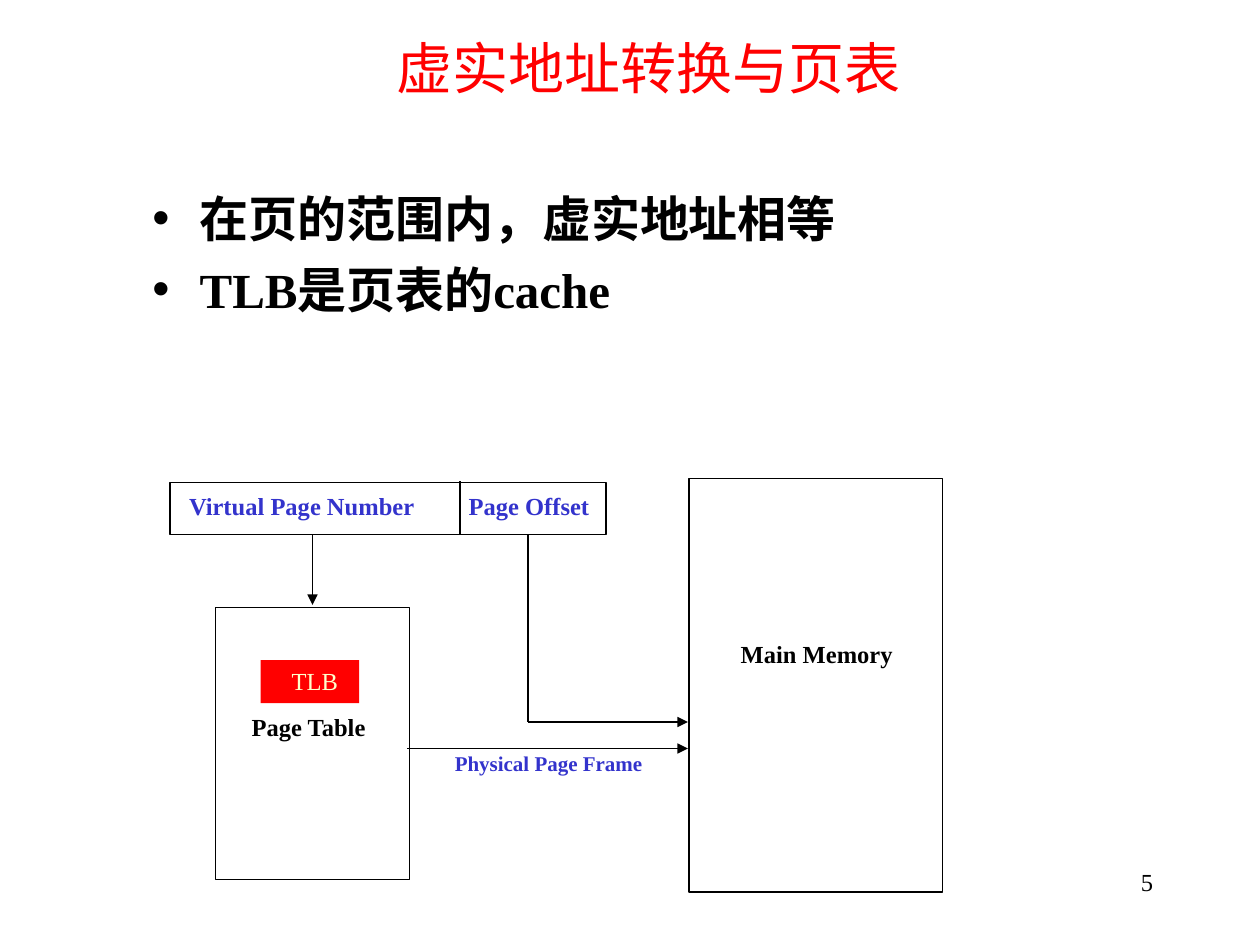
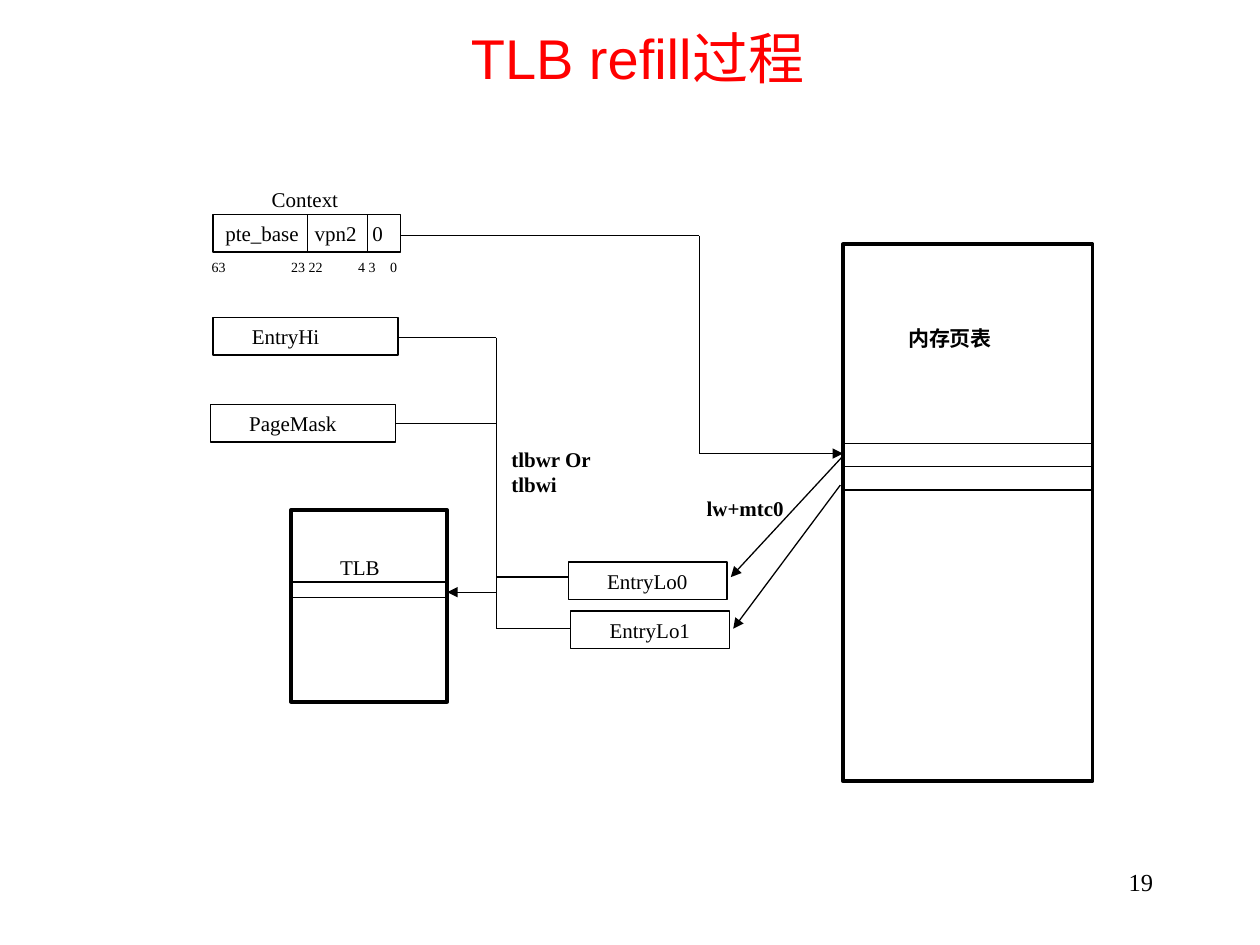
from dataclasses import dataclass
from itertools import pairwise

from lxml.etree import SubElement
from pptx import Presentation
from pptx.dml.color import RGBColor
from pptx.enum.shapes import MSO_CONNECTOR as CONNECTOR, MSO_SHAPE as SHAPE
from pptx.enum.text import MSO_ANCHOR as ANCHOR, MSO_AUTO_SIZE as AUTO_SIZE, PP_ALIGN as ALIGN
from pptx.oxml.ns import qn
from pptx.util import Pt


@dataclass(frozen=True)
class Theme:
    black: str = "000000"
    red: str = "FF0000"
    blue: str = "3333CC"
    cream: str = "FFFFCC"
    title_font: str = "Arial"
    text_font: str = "Times New Roman"
    title: int = 32
    body: int = 28
    large: int = 14
    small: int = 12
    tiny: int = 8
    thin: float = 0.75
    thick: float = 2.25
    inset: tuple = (7.2, 3.6)
    tight: tuple = (1.4, 0.7)


class Page:
    """Holds the style and the current slide; one method per kind of element."""

    def __init__(self, deck, theme):
        self.deck, self.theme, self.slide = deck, theme, None

    def start(self, layout, title, frame, number):
        self.slide = self.deck.slides.add_slide(self.deck.slide_layouts.get_by_name(layout))
        theme = self.theme
        box = self.slide.shapes.title
        self.place(box, frame)
        self.prepare(box, theme.inset, ANCHOR.MIDDLE)
        para = box.text_frame.paragraphs[0]
        para.alignment = ALIGN.CENTER
        self.add_span(para, title, theme.title, theme.red, font=theme.title_font)
        self.label(str(number), (516.2, 491.8, 149.8, 36), theme.large, align=ALIGN.RIGHT)

    def place(self, shape, frame):
        shape.left, shape.top, shape.width, shape.height = map(Pt, frame)

    def prepare(self, shape, inset, anchor=ANCHOR.TOP):
        frame = shape.text_frame
        frame.word_wrap, frame.auto_size = True, AUTO_SIZE.NONE
        frame.vertical_anchor = anchor
        frame.margin_left, frame.margin_top = map(Pt, inset)
        # A wide left inset only moves the text, so the right side stays narrow
        frame.margin_right = Pt(min(inset[0], self.theme.inset[0]))
        frame.margin_bottom = Pt(min(inset[1], self.theme.inset[1]))

    def add_span(self, para, text, size, color=None, bold=False, font=None):
        span = para.add_run()
        span.text = text
        span.font.size, span.font.bold = Pt(size), bold
        span.font.name = font or self.theme.text_font
        span.font.color.rgb = RGBColor.from_string(color or self.theme.black)

    def fill_text(self, shape, text, size, color=None, bold=False, inset=None,
                  align=ALIGN.LEFT, stops=()):
        self.prepare(shape, inset or self.theme.inset)
        para = shape.text_frame.paragraphs[0]
        para.alignment = align
        if stops:
            tabs = SubElement(para._p.get_or_add_pPr(), qn("a:tabLst"))
            for stop in stops:
                SubElement(tabs, qn("a:tab"), pos=str(Pt(stop)), algn="l")
        self.add_span(para, text, size, color, bold)

    def label(self, text, frame, size, **style):
        box = self.slide.shapes.add_textbox(*map(Pt, frame))
        self.fill_text(box, text, size, **style)

    def bullets(self, items, frame):
        box = self.slide.placeholders[1]
        self.place(box, frame)
        self.prepare(box, self.theme.inset)
        for index, item in enumerate(items):
            para = box.text_frame.add_paragraph() if index else box.text_frame.paragraphs[0]
            para.line_spacing = 1.1
            para.space_before = Pt(3.5 if index else 0)
            props = para._p.get_or_add_pPr()
            props.set("marL", str(Pt(27)))
            props.set("indent", str(Pt(-27)))
            color = SubElement(props, qn("a:buClr"))
            SubElement(color, qn("a:srgbClr"), val=self.theme.black)
            SubElement(props, qn("a:buChar"), char="•")
            self.add_span(para, item, self.theme.body, bold=True)

    def rect(self, frame, text=None, size=None, fill=None, weight=None, **style):
        shape = self.slide.shapes.add_shape(SHAPE.RECTANGLE, *map(Pt, frame))
        shape.shadow.inherit = False
        if fill:
            shape.fill.solid()
            shape.fill.fore_color.rgb = RGBColor.from_string(fill)
            shape.line.fill.background()
        else:
            shape.fill.background()
            shape.line.color.rgb = RGBColor.from_string(self.theme.black)
            shape.line.width = Pt(weight or self.theme.thin)
        if text:
            self.fill_text(shape, text, size, **style)

    def wire(self, *points, arrow=False):
        """Joins the points with straight lines; the last may end in an arrowhead."""
        for start, end in pairwise(points):
            link = self.slide.shapes.add_connector(
                CONNECTOR.STRAIGHT, *map(Pt, (*start, *end)))
            link.line.color.rgb = RGBColor.from_string(self.theme.black)
            link.line.width = Pt(self.theme.thin)
            props = link._element.spPr
            if arrow and end == points[-1]:
                SubElement(props.find(qn("a:ln")), qn("a:tailEnd"), type="triangle")
            SubElement(props, qn("a:effectLst"))


def address_translation(page):
    theme = page.theme
    page.start("Title and Content", "虚实地址转换与页表", (64.8, 0, 612, 76.3), 5)
    page.bullets(["在页的范围内，虚实地址相等", "TLB是页表的cache"],
                 (79.9, 100.8, 531.4, 107.3))

    # Virtual address
    page.rect((97.2, 275.8, 249.1, 29.5))
    for text, left, width in [("Virtual Page Number", 106.6, 150.5),
                              ("Page Offset", 266.4, 78.5)]:
        page.label(text, (left, 280.1, width, 18.7), theme.large,
                   color=theme.blue, bold=True, inset=theme.tight)
    page.wire((262.8, 275), (262.8, 305.3))

    # Page table with its TLB
    page.rect((123.1, 347, 110.9, 155.5))
    page.label("Page Table", (135.4, 406.1, 81.4, 18.7), theme.large,
               bold=True, inset=(8.4, 0.7))
    page.rect((149, 377.3, 56.2, 24.5), "TLB", theme.large, fill=theme.red,
              color=theme.cream, inset=(17.7, 3.6))

    # Main memory
    page.rect((393.8, 273.6, 144.7, 236.2))
    page.label("Main Memory", (416.2, 361.4, 103.7, 24.5), theme.large, bold=True)

    # Paths of the page number and the offset
    page.wire((178.6, 305.3), (178.6, 345.6), arrow=True)
    page.wire((232.6, 427.7), (393.1, 427.7), arrow=True)
    page.wire((301.7, 305.3), (301.7, 412.6), (393.1, 412.6), arrow=True)
    page.label("Physical Page Frame", (258.5, 428.4, 136.1, 15.8), theme.small,
               color=theme.blue, bold=True, inset=theme.tight)


def tlb_refill(page):
    theme = page.theme
    page.start("Title Only", "TLB refill过程", (58.3, 11.5, 612, 41.8), 19)

    # Context register with its fields and bit numbers
    page.label("Context", (118.1, 103, 121.7, 21.6), theme.small, inset=(37.2, 3.6))
    page.rect((121.7, 122.4, 107.3, 21.6), "pte_base\tvpn2\t0", theme.small,
              inset=(7.2, 3.6), stops=(51, 84))
    page.label("63\t23 22\t4 3\t0", (113.8, 144, 121.7, 17.3), theme.tiny,
               stops=(45.4, 83.7, 102))
    for x in (175.7, 210.2):
        page.wire((x, 122.4), (x, 144))

    # Other registers
    for name, left, top, width in [("EntryHi", 121.7, 181.4, 105.8),
                                   ("PageMask", 120.2, 231.1, 105.8),
                                   ("EntryLo0", 324.7, 321.1, 90.7),
                                   ("EntryLo1", 326.2, 349.2, 90.7)]:
        page.rect((left, top, width, 21.6), name, theme.small, inset=(22.2, 3.6))

    # TLB and the page table in memory, with their entry rows
    page.rect((166.3, 291.6, 89.3, 109.4), "TLB", theme.small,
              weight=theme.thick, inset=(28, 25))
    page.rect((481.7, 139.7, 142.6, 306.7), "内存页表", theme.small, bold=True,
              weight=theme.thick, inset=(37.2, 46.2))
    for y in (332.6, 341.3):
        page.wire((166.3, y), (255.6, y))
    for row in range(3):
        y = 253.4 + 13.3 * row
        page.wire((481.7, y), (624.2, y))

    # Lookup in memory, then loading of the entries
    page.wire((229, 134.6), (399.6, 134.6), (399.6, 259.2), (481.7, 259.2), arrow=True)
    page.wire((481.7, 260.6), (417.6, 329.8), arrow=True)
    page.wire((480.2, 277.2), (419, 359.3), arrow=True)
    page.label("lw+mtc0", (381.6, 279.4, 90.7, 21.6), theme.small,
               bold=True, inset=(22.2, 3.6))

    # Bus that carries the registers to the TLB
    bus = 283.7
    page.wire((bus, 193), (bus, 359.3))
    for x, y in [(227.5, 193), (226.1, 241.9), (324.7, 329.8), (326.2, 359.3)]:
        page.wire((bus, y), (x, y))
    page.wire((bus, 338.4), (255.6, 338.4), arrow=True)
    page.label("tlbwr Or tlbwi", (275.8, 254.2, 95.8, 15.8), theme.small,
               bold=True, inset=(16.4, 0.7))


def main():
    deck = Presentation()
    deck.slide_width, deck.slide_height = Pt(720), Pt(540)
    page = Page(deck, Theme())
    address_translation(page)
    tlb_refill(page)
    deck.save("out.pptx")


if __name__ == "__main__":
    main()
